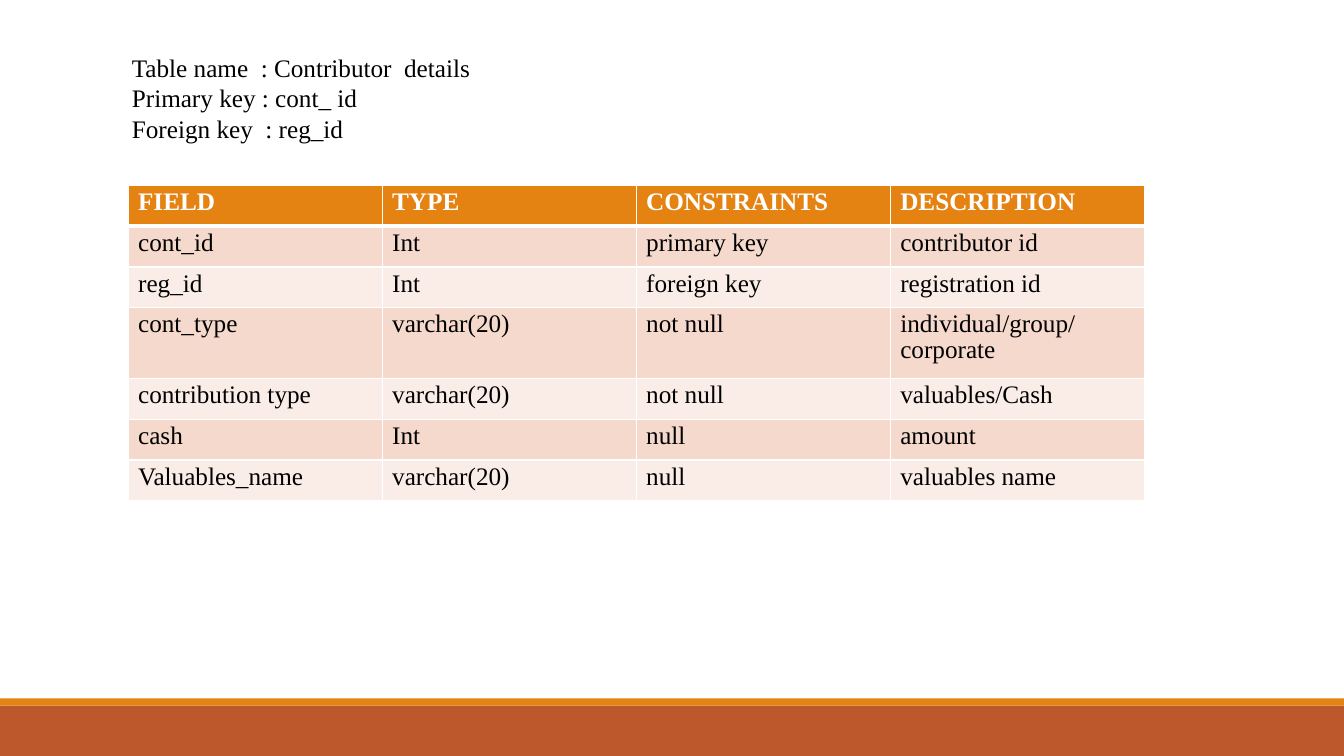
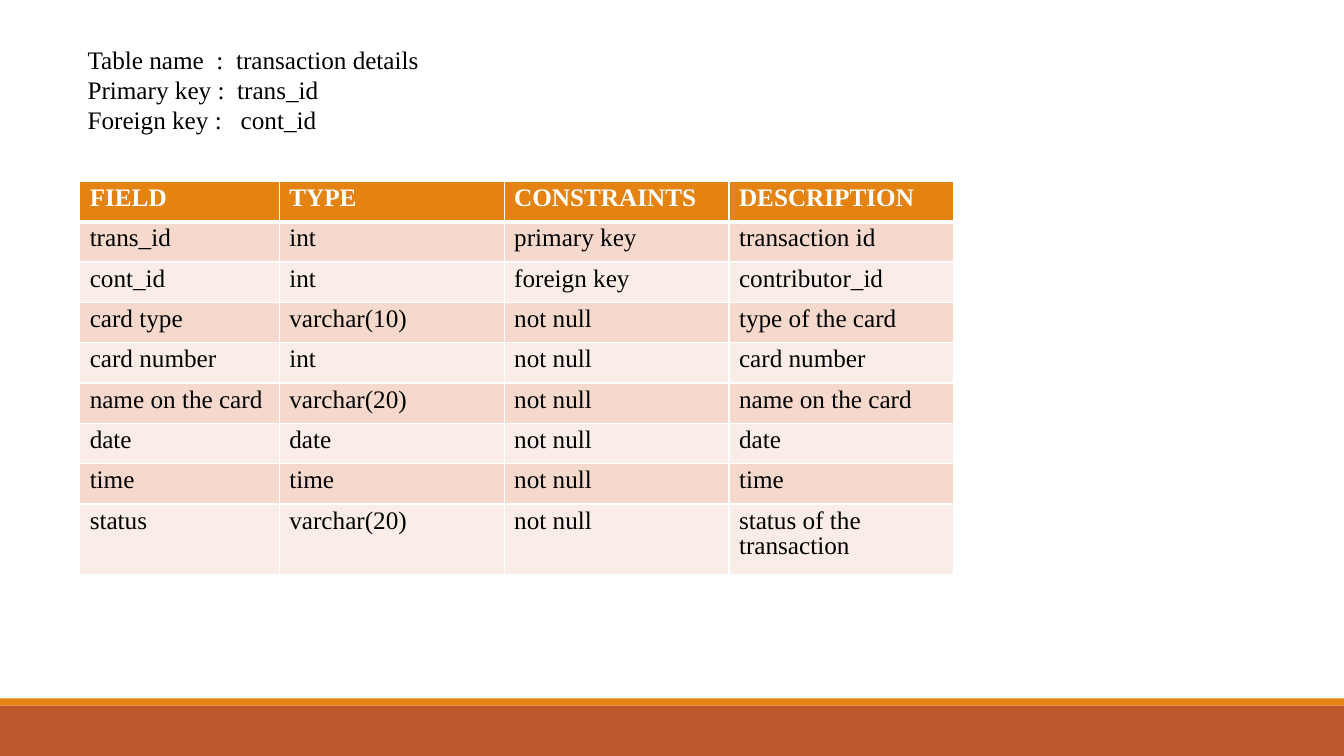
from dataclasses import dataclass

import pptx
import pptx.dml.color
import pptx.enum.shapes
import pptx.enum.text
import pptx.oxml.ns
import pptx.util
from lxml import etree

Inches = pptx.util.Inches
Pt = pptx.util.Pt


def color(value):
    return pptx.dml.color.RGBColor.from_string(value)


@dataclass(frozen=True)
class Theme:
    orange: str = "E48312"
    rust: str = "BD582C"
    row_fills: tuple = ("F5D9CC", "FAEDE7")
    black: str = "000000"
    white: str = "FFFFFF"
    font: str = "Times New Roman"
    text_size: int = 18
    cell_line_spacing: float = 0.9
    border: int = 1
    header_border: int = 3


class Deck:
    """Holds the theme, the presentation and the slide being built."""

    def __init__(self, theme, width=13.33, height=7.5):
        self.theme = theme
        self.width = width
        self.presentation = pptx.Presentation()
        self.presentation.slide_width = Inches(width)
        self.presentation.slide_height = Inches(height)
        self.slide = None

    def new_slide(self):
        self.slide = self.presentation.slides.add_slide(self.presentation.slide_layouts[6])
        background = self.slide.background.fill
        background.solid()
        background.fore_color.rgb = color(self.theme.white)
        self.band(7, 0.5, self.theme.rust)
        self.band(6.93, 0.07, self.theme.orange)

    def band(self, top, height, fill):
        shape = self.slide.shapes.add_shape(
            pptx.enum.shapes.MSO_SHAPE.RECTANGLE,
            Inches(0), Inches(top), Inches(self.width), Inches(height))
        shape.shadow.inherit = False
        shape.fill.solid()
        shape.fill.fore_color.rgb = color(fill)
        shape.line.fill.background()

    def style(self, paragraph, text_color, bold=False):
        font = paragraph.font
        font.name = self.theme.font
        font.size = Pt(self.theme.text_size)
        font.bold = bold
        font.color.rgb = color(text_color)

    def caption(self, left, top, width, lines):
        box = self.slide.shapes.add_textbox(
            Inches(left), Inches(top), Inches(width), Inches(1.01))
        frame = box.text_frame
        frame.word_wrap = True
        frame.auto_size = pptx.enum.text.MSO_AUTO_SIZE.SHAPE_TO_FIT_TEXT
        frame.text = "\n".join(lines)
        for paragraph in frame.paragraphs:
            self.style(paragraph, self.theme.black)

    def table(self, left, top, column_widths, row_heights, rows):
        frame = self.slide.shapes.add_table(
            len(rows), len(column_widths), Inches(left), Inches(top),
            Inches(sum(column_widths)), Inches(sum(row_heights)))
        table = frame.table
        for column, width in zip(table.columns, column_widths):
            column.width = Inches(width)
        for row_index, (row, height, texts) in enumerate(zip(table.rows, row_heights, rows)):
            row.height = Inches(height)
            for cell, text in zip(row.cells, texts):
                self.cell(cell, text, row_index)

    def cell(self, cell, text, row_index):
        theme = self.theme
        header = row_index == 0
        cell.text = text
        paragraph = cell.text_frame.paragraphs[0]
        paragraph.line_spacing = theme.cell_line_spacing
        self.style(paragraph, theme.white if header else theme.black, header)
        cell.fill.solid()
        fill = theme.orange if header else theme.row_fills[(row_index - 1) % 2]
        cell.fill.fore_color.rgb = color(fill)
        self.cell_borders(
            cell,
            top=theme.header_border if row_index == 1 else theme.border,
            bottom=theme.header_border if header else theme.border)

    def cell_borders(self, cell, top, bottom):
        qn = pptx.oxml.ns.qn
        properties = cell._tc.get_or_add_tcPr()
        sides = (("lnL", self.theme.border), ("lnR", self.theme.border),
                 ("lnT", top), ("lnB", bottom))
        for position, (side, width) in enumerate(sides):
            line = etree.Element(qn(f"a:{side}"), w=str(Pt(width)))
            fill = etree.SubElement(line, qn("a:solidFill"))
            etree.SubElement(fill, qn("a:srgbClr"), val=self.theme.white)
            properties.insert(position, line)


HEADINGS = ("FIELD", "TYPE", "CONSTRAINTS", "DESCRIPTION")

CONTRIBUTOR_FIELDS = (
    ("cont_id", "Int", "primary key", "contributor id"),
    ("reg_id", "Int", "foreign key", "registration id"),
    ("cont_type", "varchar(20)", "not null", "individual/group/corporate"),
    ("contribution type", "varchar(20)", "not null", "valuables/Cash"),
    ("cash", "Int", "null", "amount"),
    ("Valuables_name", "varchar(20)", "null", "valuables name"),
)

TRANSACTION_FIELDS = (
    ("trans_id", "int", "primary key", "transaction id"),
    ("cont_id", "int", "foreign key", "contributor_id"),
    ("card type", "varchar(10)", "not null", "type of the card"),
    ("card number", "int", "not null", "card number"),
    ("name on the card", "varchar(20)", "not null", "name on the card"),
    ("date", "date", "not null", "date"),
    ("time", "time", "not null", "time"),
    ("status", "varchar(20)", "not null", "status of the transaction"),
)

TWO_LINE_ROW = 0.7


def main():
    deck = Deck(Theme())

    deck.new_slide()
    deck.table(1.27, 1.84, [2.52] * 4, [0.405] * 3 + [TWO_LINE_ROW] + [0.405] * 3,
               (HEADINGS, *CONTRIBUTOR_FIELDS))
    deck.caption(1.21, 0.47, 6.67, (
        "Table name  : Contributor  details",
        "Primary key : cont_ id",
        "Foreign key  : reg_id"))

    deck.new_slide()
    deck.table(0.79, 1.8, [1.98] + [2.23] * 3, [0.4] * 8 + [TWO_LINE_ROW],
               (HEADINGS, *TRANSACTION_FIELDS))
    deck.caption(0.77, 0.39, 4.36, (
        "Table name  :  transaction details",
        "Primary key :  trans_id",
        "Foreign key :   cont_id"))

    deck.presentation.save("out.pptx")


if __name__ == "__main__":
    main()
